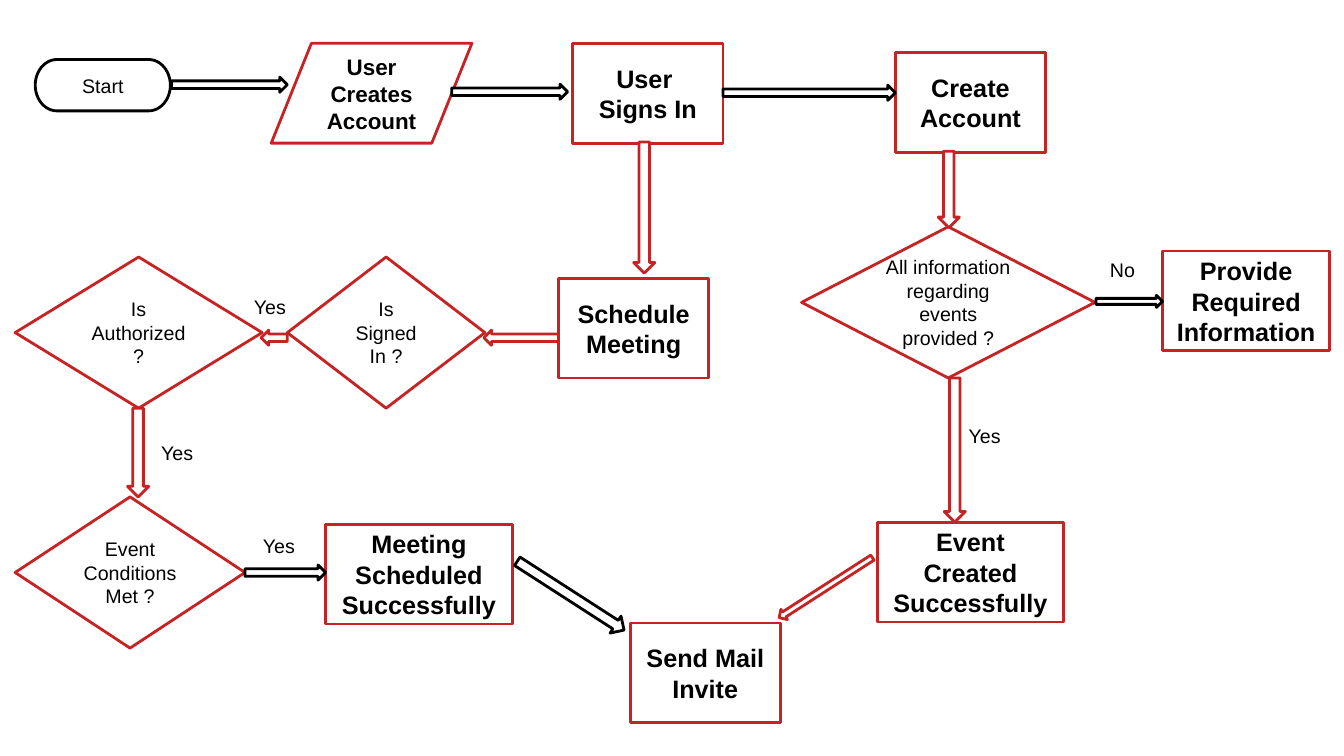
from pptx import Presentation
from pptx.dml.color import RGBColor
from pptx.enum.shapes import MSO_SHAPE
from pptx.enum.text import MSO_ANCHOR, MSO_AUTO_SIZE, PP_ALIGN
from pptx.util import Inches, Pt

START = MSO_SHAPE.FLOWCHART_TERMINATOR
INPUT = MSO_SHAPE.FLOWCHART_DATA
STEP = MSO_SHAPE.FLOWCHART_PROCESS
TEST = MSO_SHAPE.FLOWCHART_DECISION
RIGHT = MSO_SHAPE.RIGHT_ARROW
LEFT = MSO_SHAPE.LEFT_ARROW
DOWN = MSO_SHAPE.DOWN_ARROW
MIDDLE = MSO_ANCHOR.MIDDLE
CENTER = PP_ALIGN.CENTER
GROW = MSO_AUTO_SIZE.SHAPE_TO_FIT_TEXT

BLACK, WHITE, RED = "000000", "FFFFFF", "C62324"
FONT = "Arial"
CELL = 0.1  # side of one grid cell in inches
SMALL, WIDE = (14.9, 9.9), (18.5, 9.9)  # step sizes in cells


def paint(part, hue):
    """Set a fill or font to a solid hex colour."""
    part.rgb = RGBColor.from_string(hue)


def cells(*counts):
    """Turn counts of grid cells into lengths."""
    return [Inches(count * CELL) for count in counts]


def write(frame, text, size, bold=False):
    """Add text run by run, with a line break at each newline."""
    frame.word_wrap = True
    para = frame.paragraphs[0]
    for row, line in enumerate(text.split("\n")):
        if row:
            para.add_line_break()
        run = para.add_run()
        run.text = line
        run.font.name, run.font.size, run.font.bold = FONT, Pt(size), bold
        paint(run.font.color, BLACK)
    return para


def draw(slide, kind, box, hue):
    """Add a white outlined shape in a box of cells."""
    shape = slide.shapes.add_shape(kind, *cells(*box))
    shape.shadow.inherit = False
    shape.fill.solid()
    paint(shape.fill.fore_color, WHITE)
    paint(shape.line.color, hue)
    shape.line.width = Pt(2)
    return shape


def node(slide, area, kind, spot, dims, text, size=18, hue=RED):
    """Add a flow node; spot is counted from the corner of the area."""
    box = (area[0] + spot[0], area[1] + spot[1], *dims)
    frame = draw(slide, kind, box, hue).text_frame
    frame.vertical_anchor = MIDDLE
    write(frame, text, size, bold=size > 14).alignment = CENTER


def arrow(slide, area, kind, tail, span, thick=1.5, hue=RED, turn=0):
    """Add a block arrow of a given span from the middle of its tail."""
    x, y = area[0] + tail[0], area[1] + tail[1]
    if kind == DOWN:
        box = (x - thick / 2, y, thick, span)
    else:
        box = (x - span * (kind == LEFT), y - thick / 2, span, thick)
    draw(slide, kind, box, hue).rotation = turn


def label(slide, area, spot, text):
    """Add the answer beside an arrow."""
    box = (area[0] + spot[0], area[1] + spot[1], 5.4, 3.4)
    frame = slide.shapes.add_textbox(*cells(*box)).text_frame
    frame.auto_size = GROW
    write(frame, text, 14)


def entry(slide, area):
    """Draw the top row, from the start to the account."""
    node(slide, area, START, (0, 1.6), (13.4, 5.1), "Start", 14, BLACK)
    node(slide, area, INPUT, (23.4, 0), (19.9, 9.9),
         "User Creates Account", 16)
    node(slide, area, STEP, (53.3, 0), SMALL, "User \nSigns In")
    node(slide, area, STEP, (85.3, 0.9), SMALL, "Create Account")
    for x, y, span in ((13.5, 4.1, 11.5), (41.3, 4.8, 11.5),
                       (68.2, 4.9, 17.1)):
        arrow(slide, area, RIGHT, (x, y), span, hue=BLACK)


def checks(slide, area):
    """Draw the meeting branch and its checks, from right to left."""
    node(slide, area, STEP, (53.9, 13.5), SMALL, "Schedule Meeting")
    node(slide, area, TEST, (27, 11.4), (19.6, 15), "Is Signed In ?", 14)
    node(slide, area, TEST, (0, 11.4), (24.5, 15), "Is Authorized ?", 14)
    arrow(slide, area, DOWN, (62.4, 0), 13, 2.1)
    arrow(slide, area, LEFT, (53.9, 19.4), 7.4)
    arrow(slide, area, LEFT, (27, 19.4), 2.6)
    arrow(slide, area, DOWN, (12.2, 26.4), 8.8, 2.1)
    label(slide, area, (22.7, 14.7), "Yes")
    label(slide, area, (13.5, 29.2), "Yes")


def event(slide, area):
    """Draw the event branch on the right."""
    node(slide, area, TEST, (0, 7.5), (29.1, 15),
         "All information regarding events provided ?", 14)
    node(slide, area, STEP, (35.8, 9.9), (16.6, 9.9),
         "Provide Required Information")
    node(slide, area, STEP, (7.5, 36.8), WIDE, "Event Created Successfully")
    arrow(slide, area, DOWN, (14.6, 0), 7.6, 2.1)
    arrow(slide, area, DOWN, (15.2, 22.5), 14.3, 2.1)
    arrow(slide, area, RIGHT, (29.2, 14.9), 6.6, 1.2, BLACK)
    label(slide, area, (15.6, 26.6), "Yes")
    label(slide, area, (29.6, 10.1), "No")


def invite(slide, area):
    """Draw the last row, where both branches meet."""
    node(slide, area, TEST, (0, 0), (22.8, 15), "Event Conditions Met ?", 14)
    node(slide, area, STEP, (30.8, 2.7), WIDE,
         "Meeting Scheduled Successfully")
    node(slide, area, STEP, (61, 12.5), SMALL, "Send Mail Invite")
    arrow(slide, area, RIGHT, (22.8, 7.5), 8, hue=BLACK)
    arrow(slide, area, RIGHT, (48.8, 9.8), 12.6, 2, BLACK, 32.8)
    arrow(slide, area, LEFT, (85.9, 9), 11, 1.2, RED, -32.8)
    label(slide, area, (23.6, 3.2), "Yes")


def main():
    """Build the flow chart and save it."""
    deck = Presentation()
    deck.slide_width, deck.slide_height = Inches(13.33), Inches(7.5)
    slide = deck.slides.add_slide(deck.slide_layouts[6])
    entry(slide, (3.5, 4.3))
    checks(slide, (1.5, 14.1))
    event(slide, (79.5, 15))
    invite(slide, (1.5, 49.3))
    deck.save("out.pptx")


main()
